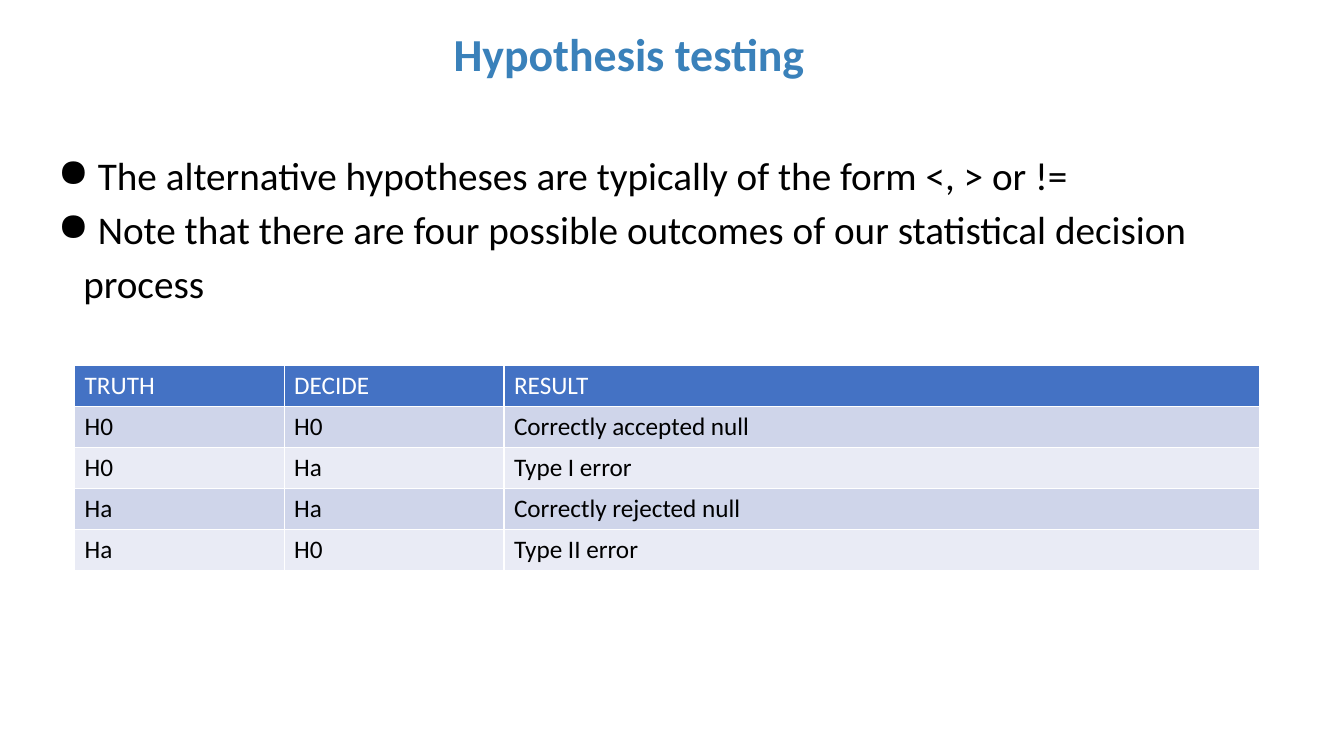
from lxml.etree import SubElement as Sub
from pptx import Presentation
from pptx.dml.color import RGBColor as Rgb
from pptx.enum.text import MSO_ANCHOR as Anchor, MSO_AUTO_SIZE as Auto, PP_ALIGN as Align
from pptx.oxml.ns import qn
from pptx.util import Cm, Pt

# Content
TITLE = "Hypothesis testing"
POINTS = [
    " The alternative hypotheses are typically of the form <, > or !=",
    " Note that there are four possible outcomes of our statistical decision process",
]
ROWS = [
    ("TRUTH", "DECIDE", "RESULT"),
    ("H0", "H0", "Correctly accepted null"),
    ("H0", "Ha", "Type I error"),
    ("Ha", "Ha", "Correctly rejected null"),
    ("Ha", "H0", "Type II error"),
]

# Format
HEX = {"title": "3A81BA", "text": "000000", "white": "FFFFFF",
       "head": "4472C4", "odd": "CFD5EA", "even": "E9EBF5"}
FONTS = {
    "title": {"size": Pt(32.7), "bold": True},
    "point": {"size": Pt(28), "bold": False},
    "cell": {"size": Pt(18), "bold": False},
}
WIDTHS = [5.28, 5.54, 19.05]
HIGH = 1.03
INDENT = Cm(0.64)


def color(name):
    return Rgb.from_string(HEX[name])


def style(font, kind, tone):
    for key, val in {"name": "Calibri", **FONTS[kind]}.items():
        setattr(font, key, val)
    font.color.rgb = color(tone)


def bullet(para):
    props = para._p.get_or_add_pPr()
    props.set("marL", str(INDENT))
    props.set("indent", str(-INDENT))
    tint = Sub(props, qn("a:buClr"))
    Sub(tint, qn("a:srgbClr"), val=HEX["text"])
    Sub(props, qn("a:buChar"), char="●")


deck = Presentation()
deck.slide_width, deck.slide_height = Cm(33.87), Cm(19.05)
slide = deck.slides.add_slide(deck.slide_layouts[5])

# Title
title = slide.shapes.title
title.left, title.top, title.width, title.height = Cm(5.49), Cm(0), Cm(20.73), Cm(2.87)
frame = title.text_frame
frame.text = TITLE
frame.auto_size = Auto.NONE
frame.vertical_anchor = Anchor.MIDDLE
para = frame.paragraphs[0]
para.alignment = Align.CENTER
para.line_spacing = 0.9
style(para.runs[0].font, "title", "title")

# Bullet points
frame = slide.shapes.add_textbox(Cm(1.22), Cm(3.4), Cm(31.06), Cm(4.6)).text_frame
frame.word_wrap = True
for side in ("left", "top", "right", "bottom"):
    setattr(frame, "margin_" + side, Cm(0.24))
for i, text in enumerate(POINTS):
    para = frame.add_paragraph() if i else frame.paragraphs[0]
    para.line_spacing = 1.15
    bullet(para)
    run = para.add_run()
    run.text = text
    style(run.font, "point", "text")

# Outcome table
table = slide.shapes.add_table(len(ROWS), len(WIDTHS), Cm(1.88), Cm(9.22),
                               Cm(sum(WIDTHS)), Cm(HIGH * len(ROWS))).table
for col, wide in zip(table.columns, WIDTHS):
    col.width = Cm(wide)
for r, row in enumerate(ROWS):
    table.rows[r].height = Cm(HIGH)
    fill = "head" if r == 0 else "odd" if r % 2 else "even"
    for c, text in enumerate(row):
        cell = table.cell(r, c)
        cell.text = text
        cell.fill.solid()
        cell.fill.fore_color.rgb = color(fill)
        style(cell.text_frame.paragraphs[0].runs[0].font, "cell", "text" if r else "white")

deck.save("out.pptx")
